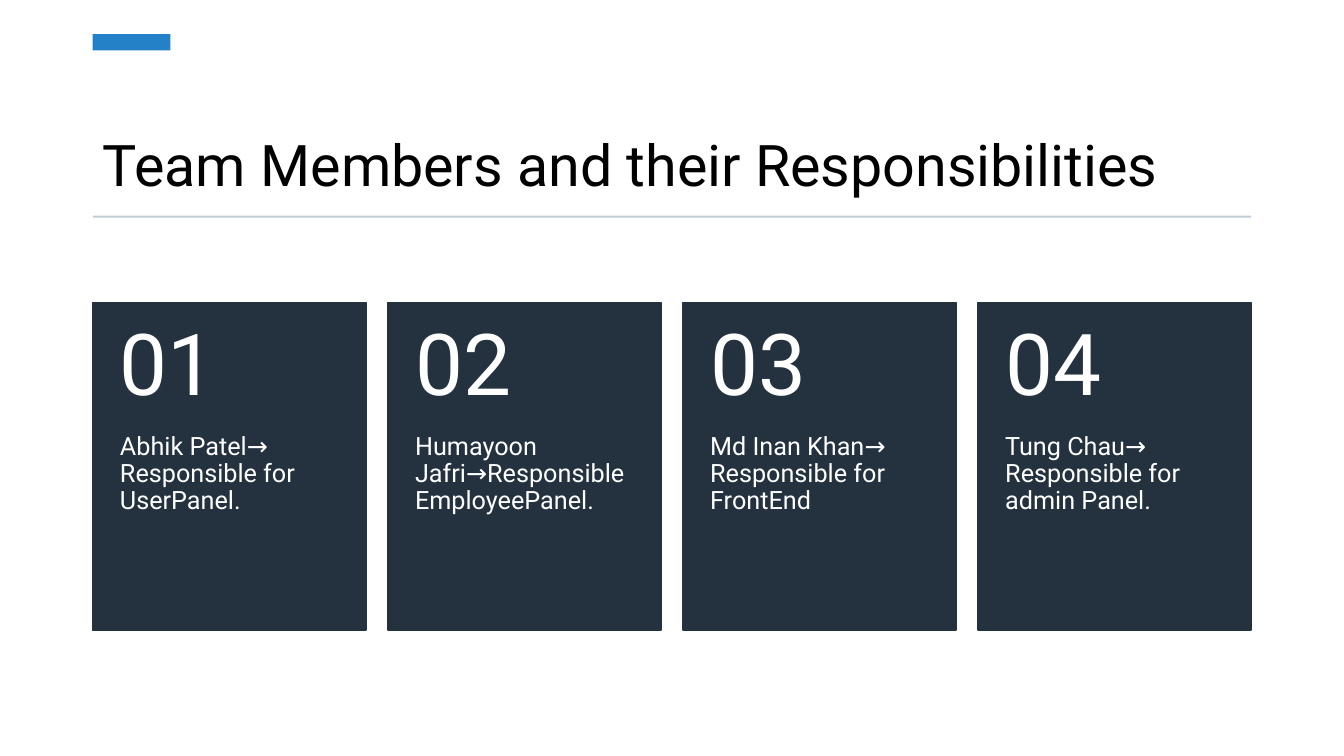
"""Build a slide with a title and four numbered team member cards."""
from pptx import Presentation
from pptx import util as u
from pptx.dml.color import RGBColor
from pptx.enum import shapes, text

BLACK = RGBColor(0x00, 0x00, 0x00)
WHITE = RGBColor(0xFF, 0xFF, 0xFF)
BLUE = RGBColor(0x25, 0x81, 0xC7)
PALE_BLUE = RGBColor(0xBD, 0xCD, 0xDA)
NAVY = RGBColor(0x23, 0x32, 0x3E)

LEFT = 0.92
CONTENT_WIDTH = 11.49
CARD_WIDTH = 2.71
CARD_TOP = 3
CARD_HEIGHT = 3.25
NUMBER_HEIGHT = 1.3
MEMBERS = [
    "Abhik Patel→ Responsible for UserPanel.",
    "Humayoon Jafri→Responsible EmployeePanel.",
    "Md Inan Khan→ Responsible for FrontEnd",
    "Tung Chau→ Responsible for admin Panel.",
]


def write(shape, wording, size, color=WHITE, anchor=text.MSO_ANCHOR.TOP,
          side=0.27, top=0.0, bottom=0.0, space_after=0):
    frame = shape.text_frame
    frame.text = wording
    frame.word_wrap = True
    frame.auto_size = text.MSO_AUTO_SIZE.NONE
    frame.vertical_anchor = anchor
    frame.margin_left = frame.margin_right = u.Inches(side)
    frame.margin_top, frame.margin_bottom = u.Inches(top), u.Inches(bottom)
    paragraph = frame.paragraphs[0]
    paragraph.alignment = text.PP_ALIGN.LEFT
    paragraph.line_spacing = 0.9
    paragraph.space_after = u.Pt(space_after)
    font = paragraph.runs[0].font
    font.name, font.size, font.color.rgb = "Roboto", u.Pt(size), color


def add_block(parent, left, top, width, height, color):
    shape = parent.add_shape(shapes.MSO_SHAPE.RECTANGLE, u.Inches(left),
                             u.Inches(top), u.Inches(width), u.Inches(height))
    shape.shadow.inherit = False
    shape.fill.solid()
    shape.fill.fore_color.rgb = color
    shape.line.fill.background()
    return shape


presentation = Presentation()
presentation.slide_width = u.Inches(13.33)
presentation.slide_height = u.Inches(7.5)
slide = presentation.slides.add_slide(presentation.slide_layouts[5])
slide.background.fill.solid()
slide.background.fill.fore_color.rgb = WHITE

title = slide.shapes.title
title.left, title.top = u.Inches(LEFT), u.Inches(0.75)
title.width, title.height = u.Inches(CONTENT_WIDTH), u.Inches(1.27)
write(title, "Team Members and their Responsibilities", size=41, color=BLACK,
      anchor=text.MSO_ANCHOR.BOTTOM, side=0.1, top=0.05, bottom=0.05)

add_block(slide.shapes, LEFT, 0.34, 0.77, 0.16, BLUE)
add_block(slide.shapes, LEFT, 2.14, CONTENT_WIDTH, 0.02, PALE_BLUE)

card_step = (CONTENT_WIDTH - CARD_WIDTH) / (len(MEMBERS) - 1)
for index, member in enumerate(MEMBERS):
    left = LEFT + index * card_step
    group = slide.shapes.add_group_shape()
    card = add_block(group.shapes, left, CARD_TOP, CARD_WIDTH, CARD_HEIGHT, NAVY)
    card.line.color.rgb = NAVY
    card.line.width = u.Pt(1)
    duty = group.shapes.add_textbox(
        u.Inches(left), u.Inches(CARD_TOP + NUMBER_HEIGHT),
        u.Inches(CARD_WIDTH), u.Inches(CARD_HEIGHT - NUMBER_HEIGHT))
    write(duty, member, size=18, bottom=0.36, space_after=6)
    number = group.shapes.add_textbox(
        u.Inches(left), u.Inches(CARD_TOP),
        u.Inches(CARD_WIDTH), u.Inches(NUMBER_HEIGHT))
    write(number, f"{index + 1:02d}", size=61, anchor=text.MSO_ANCHOR.MIDDLE,
          top=0.18, bottom=0.18, space_after=21)

presentation.save("out.pptx")
